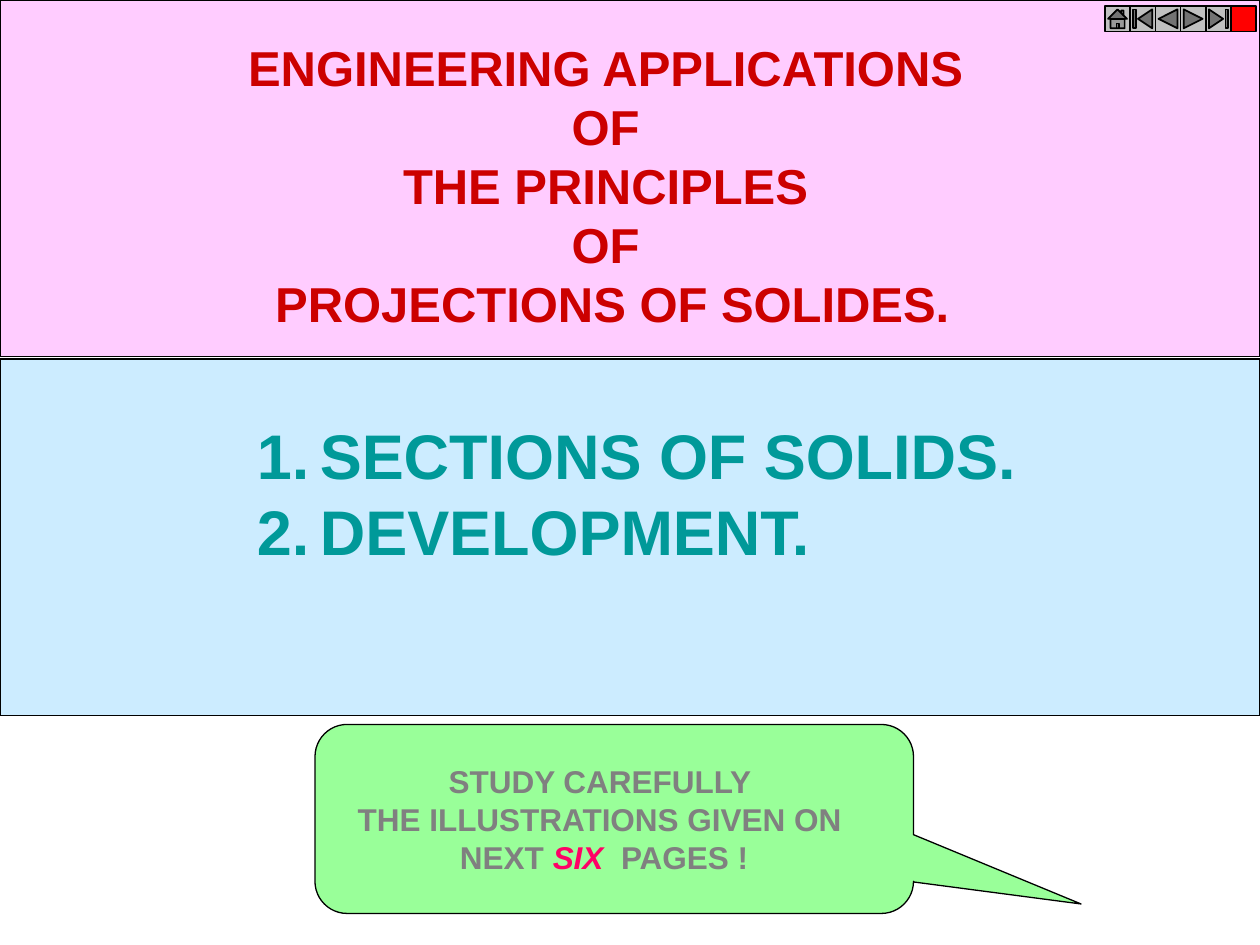
from lxml import etree
from pptx import Presentation
from pptx.dml.color import RGBColor
from pptx.enum.shapes import MSO_SHAPE
from pptx.enum.text import MSO_ANCHOR, MSO_AUTO_SIZE, PP_ALIGN
from pptx.oxml.ns import qn
from pptx.util import Inches, Pt

CENTER, LEFT = PP_ALIGN.CENTER, PP_ALIGN.LEFT
TOP = MSO_ANCHOR.TOP
GROW = MSO_AUTO_SIZE.SHAPE_TO_FIT_TEXT
RECTANGLE = MSO_SHAPE.RECTANGLE
CALLOUT = MSO_SHAPE.ROUNDED_RECTANGULAR_CALLOUT

THEME = {
    "font": "Arial",
    "heading_size": 28, "topic_size": 36, "advice_size": 18,
    "heading": "CC0000", "topic": "009999", "advice": "808080", "accent": "FF0066",
    "heading_panel": "FFCCFF", "topic_panel": "CCECFF", "callout": "99FF99",
    "button": "C0C0C0", "stop": "FF0000", "line": "000000",
}

HEADING = [
    "ENGINEERING APPLICATIONS ",
    "OF ",
    "THE PRINCIPLES ",
    "OF ",
    "PROJECTIONS OF SOLIDES.",
]
TOPICS = ["SECTIONS OF SOLIDS.", "DEVELOPMENT."]
ADVICE = ["STUDY CAREFULLY ", "THE ILLUSTRATIONS GIVEN ON "]
ADVICE_END = [("NEXT ", False), ("SIX  ", True), ("PAGES !", False)]

PANELS = [
    (CALLOUT, (2.5, 5.75, 4.75, 1.5), "callout"),
    (RECTANGLE, (0, 2.85, 10, 2.83), "topic_panel"),
    (RECTANGLE, (0, 0, 10, 2.83), "heading_panel"),
]
BUTTONS = [
    (MSO_SHAPE.ACTION_BUTTON_HOME, "button"),
    (MSO_SHAPE.ACTION_BUTTON_BEGINNING, "button"),
    (MSO_SHAPE.ACTION_BUTTON_BACK_OR_PREVIOUS, "button"),
    (MSO_SHAPE.ACTION_BUTTON_FORWARD_OR_NEXT, "button"),
    (MSO_SHAPE.ACTION_BUTTON_END, "button"),
    (MSO_SHAPE.ACTION_BUTTON_CUSTOM, "stop"),
]
BUTTON_LEFT, BUTTON_TOP, BUTTON_SIZE = 8.77, 0.05, 0.2


def color(name):
    return RGBColor.from_string(THEME[name])


def add_filled(shapes, kind, box, fill, line_width):
    shape = shapes.add_shape(kind, *map(Inches, box))
    shape.shadow.inherit = False
    shape.fill.solid()
    shape.fill.fore_color.rgb = color(fill)
    shape.line.color.rgb = color("line")
    shape.line.width = Pt(line_width)
    return shape


def style_run(run, style, fill):
    run.font.name = THEME["font"]
    run.font.size = Pt(THEME[style + "_size"])
    run.font.bold = True
    run.font.color.rgb = color(fill)


def write_lines(holder, box, lines, style, align):
    holder.left, holder.top, holder.width, holder.height = map(Inches, box)
    frame = holder.text_frame
    frame.text = "\n".join(lines)
    frame.word_wrap = False
    frame.auto_size = GROW
    frame.vertical_anchor = TOP
    for paragraph in frame.paragraphs:
        paragraph.alignment = align
        for run in paragraph.runs:
            style_run(run, style, style)
    return frame


def number_paragraph(paragraph, fill):
    properties = paragraph._p.get_or_add_pPr()
    properties.set("marL", str(Inches(0.5)))
    properties.set("indent", str(-Inches(0.5)))
    bullet_color = etree.SubElement(properties, qn("a:buClr"))
    etree.SubElement(bullet_color, qn("a:srgbClr"), val=THEME[fill])
    etree.SubElement(properties, qn("a:buFont"), typeface=THEME["font"])
    etree.SubElement(properties, qn("a:buAutoNum"), type="arabicPeriod")


def main():
    deck = Presentation()
    deck.slide_width, deck.slide_height = Inches(10), Inches(7.5)
    slide = deck.slides.add_slide(deck.slide_layouts[5])
    shapes = slide.shapes

    for kind, box, fill in PANELS:
        panel = add_filled(shapes, kind, box, fill, 0.75)
        if kind == CALLOUT:
            for index, value in enumerate((0.78, 0.45, 0.17)):
                panel.adjustments[index] = value

    topics = shapes.add_textbox(0, 0, 0, 0)
    topic_frame = write_lines(topics, (1.94, 3.26, 6.23, 1.3), TOPICS, "topic", LEFT)
    for paragraph in topic_frame.paragraphs:
        number_paragraph(paragraph, "topic")

    heading = shapes.title
    write_lines(heading, (1.85, 0.25, 6.02, 2.44), HEADING, "heading", CENTER)
    shapes._spTree.append(heading._element)

    advice = shapes.add_textbox(0, 0, 0, 0)
    advice_frame = write_lines(advice, (2.73, 6, 4.13, 1), ADVICE, "advice", CENTER)
    ending = advice_frame.add_paragraph()
    ending.alignment = CENTER
    for words, stressed in ADVICE_END:
        run = ending.add_run()
        run.text = words
        style_run(run, "advice", "accent" if stressed else "advice")
        run.font.italic = stressed

    navigation = shapes.add_group_shape()
    for index, (kind, fill) in enumerate(BUTTONS):
        left = BUTTON_LEFT + index * BUTTON_SIZE
        box = (left, BUTTON_TOP, BUTTON_SIZE, BUTTON_SIZE)
        add_filled(navigation.shapes, kind, box, fill, 1)

    deck.save("out.pptx")


if __name__ == "__main__":
    main()
